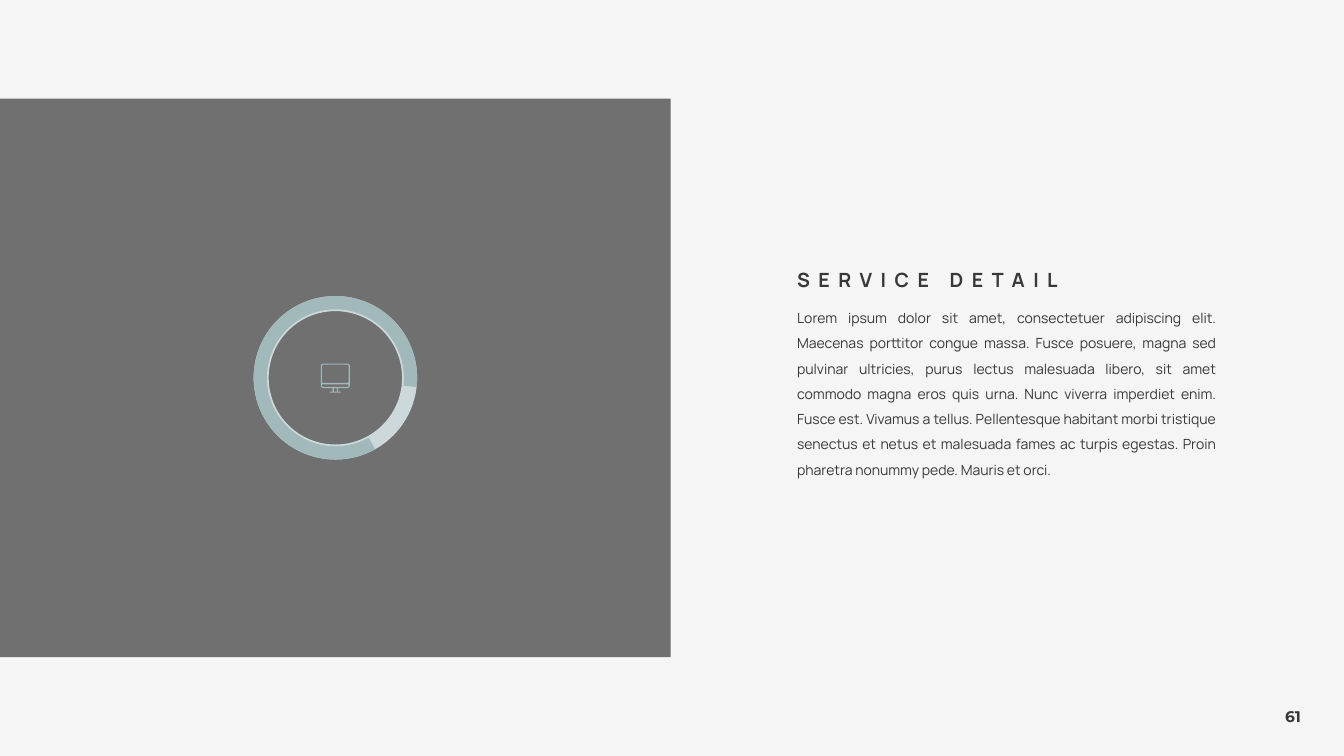
import math
from lxml import etree
from pptx import Presentation
from pptx.dml import color
from pptx.enum import shapes, text
from pptx.oxml import ns
from pptx.util import Pt

INK = "38383A"
TEAL = "A1B9BB"
PALE = "CDD8DA"
PAPER = "F5F5F5"
BODY = (
    "Lorem ipsum dolor sit amet, consectetuer adipiscing elit. Maecenas porttitor "
    "congue massa. Fusce posuere, magna sed pulvinar ultricies, purus lectus "
    "malesuada libero, sit amet commodo magna eros quis urna. Nunc viverra imperdiet "
    "enim. Fusce est. Vivamus a tellus. Pellentesque habitant morbi tristique senectus "
    "et netus et malesuada fames ac turpis egestas. Proin pharetra nonummy pede. "
    "Mauris et orci."
)


def paint(fill, shade):
    fill.solid()
    fill.fore_color.rgb = color.RGBColor.from_string(shade)


def style_shape(shape, shade, opacity=100):
    shape.shadow.inherit = False
    shape.line.fill.background()
    paint(shape.fill, shade)
    if opacity < 100:
        tint = shape.fill._xPr.find(".//" + ns.qn("a:srgbClr"))
        etree.SubElement(tint, ns.qn("a:alpha"), val=str(opacity * 1000))


def add_preset(page, kind, frame, shade, adjustments=(), opacity=100):
    shape = page.shapes.add_shape(kind, *map(Pt, frame))
    for index, value in enumerate(adjustments):
        shape.adjustments[index] = value
    style_shape(shape, shade, opacity)


def add_text(page, frame, words, size, font="Manrope", bold=False, wrap=True,
             line_spacing=1.0, align=text.PP_ALIGN.LEFT,
             anchor=text.MSO_ANCHOR.TOP, tracking=0):
    box = page.shapes.add_textbox(*map(Pt, frame))
    box.text_frame.word_wrap = wrap
    box.text_frame.vertical_anchor = anchor
    box.text_frame.auto_size = text.MSO_AUTO_SIZE.SHAPE_TO_FIT_TEXT
    para = box.text_frame.paragraphs[0]
    para.alignment = align
    para.line_spacing = line_spacing
    span = para.add_run()
    span.text = words
    para.font.name = font
    para.font.size = Pt(size)
    para.font.bold = bold
    para.font.color.rgb = color.RGBColor.from_string(INK)
    if tracking:
        span._r.get_or_add_rPr().set("spc", str(tracking * 100))


def rounded_outline(left, top, right, bottom, radius=0.0):
    corners = [
        (right - radius, bottom - radius, 0),
        (left + radius, bottom - radius, 90),
        (left + radius, top + radius, 180),
        (right - radius, top + radius, 270),
    ]
    steps = range(0, 91, 15) if radius else [0]
    return [
        (Pt(x + radius * math.cos(math.radians(start + step))),
         Pt(y + radius * math.sin(math.radians(start + step))))
        for x, y, start in corners
        for step in steps
    ]


def add_monitor(page, left, top, shade):
    parts = [
        (0, 0, 20.7, 17.5, 1.8),
        (0.8, 0.8, 19.9, 13.8, 1),
        (0.8, 14.8, 19.9, 16.7, 0.9),
        (8.5, 17.5, 9.3, 20),
        (11.4, 17.5, 12.2, 20),
        (6.4, 20, 14.3, 20.8, 0.4),
    ]
    outlines = [
        rounded_outline(left + x1, top + y1, left + x2, top + y2, *radius)
        for x1, y1, x2, y2, *radius in parts
    ]
    builder = page.shapes.build_freeform(*outlines[0][0])
    for outline in outlines:
        builder.move_to(*outline[0])
        builder.add_line_segments(outline[1:], close=True)
    style_shape(builder.convert_to_shape(), shade)


def main():
    deck = Presentation()
    deck.slide_width, deck.slide_height = Pt(960), Pt(540)
    page = deck.slides.add_slide(deck.slide_layouts[6])
    paint(page.background.fill, PAPER)

    kinds = shapes.MSO_SHAPE
    ring = (181.2, 211.5, 116.8, 116.8)
    add_text(page, (910.8, 501.8, 29.5, 20.9), "61", 11, "Montserrat",
             bold=True, wrap=False)
    add_preset(page, kinds.RECTANGLE, (0, 70.5, 479, 398.9), INK, opacity=70)
    add_monitor(page, 229.2, 259.7, TEAL)
    add_preset(page, kinds.DONUT, ring, PALE, [0.092])
    add_preset(page, kinds.BLOCK_ARC, ring, TEAL, [36.567, 3.912, 0.081])
    add_text(page, (562.3, 211.7, 313.2, 134.6), BODY, 10, line_spacing=1.5,
             align=text.PP_ALIGN.JUSTIFY)
    add_text(page, (562.3, 182.2, 313.2, 29.5), "SERVICE DETAIL", 14, bold=True,
             line_spacing=1.5, anchor=text.MSO_ANCHOR.BOTTOM, tracking=6)
    deck.save("out.pptx")


if __name__ == "__main__":
    main()
